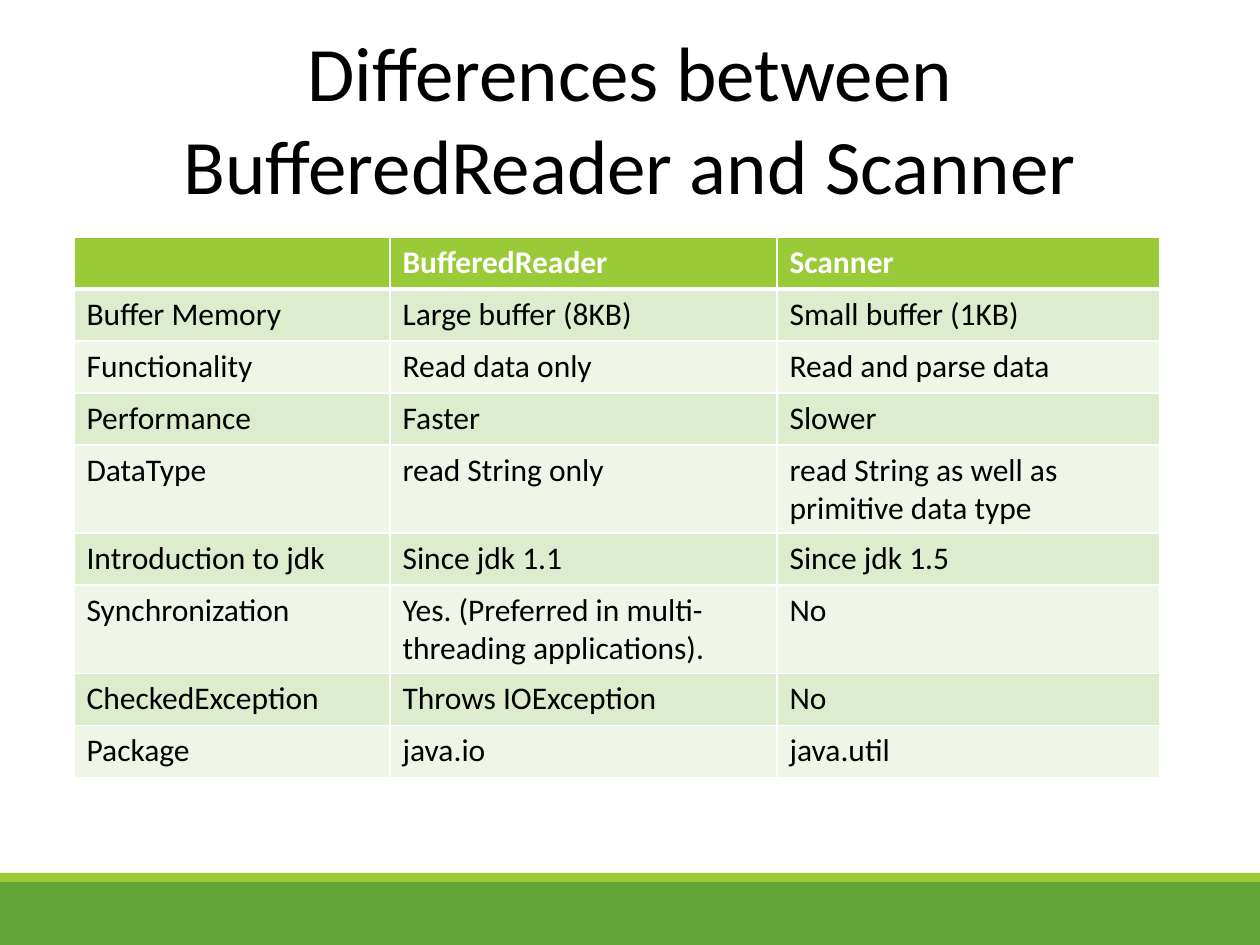
from lxml import etree
from pptx import Presentation
from pptx.dml.color import RGBColor
from pptx.enum.shapes import MSO_SHAPE
from pptx.enum.text import MSO_ANCHOR, PP_ALIGN
from pptx.oxml.ns import qn
from pptx.util import Emu, Pt

PIXEL = 914400 // 126
FONT = "Calibri"
BLACK = RGBColor(0x00, 0x00, 0x00)
WHITE = RGBColor(0xFF, 0xFF, 0xFF)
GREEN = RGBColor(0x63, 0xA5, 0x37)
LIME = RGBColor(0x99, 0xCB, 0x38)
LIGHT = RGBColor(0xDE, 0xEC, 0xCE)
PALE = RGBColor(0xEF, 0xF6, 0xE8)
RECTANGLE = MSO_SHAPE.RECTANGLE
MIDDLE = MSO_ANCHOR.MIDDLE
CENTER = PP_ALIGN.CENTER

COLUMN_WIDTHS = [316, 387, 383]
ROW_HEIGHT = 52
ROWS = [
    ["", "BufferedReader", "Scanner"],
    ["Buffer Memory", "Large buffer (8KB)", "Small buffer (1KB)"],
    ["Functionality", "Read data only", "Read and parse data"],
    ["Performance", "Faster", "Slower"],
    ["DataType", "read String only", "read String as well as primitive data type"],
    ["Introduction to jdk", "Since jdk 1.1", "Since jdk 1.5"],
    ["Synchronization", "Yes. (Preferred in multi-threading applications).", "No"],
    ["CheckedException", "Throws IOException", "No"],
    ["Package", "java.io", "java.util"],
]


def set_font(para, size, color, bold=False):
    """Format every run of a paragraph."""
    for run in para.runs:
        run.font.name = FONT
        run.font.size = Pt(size)
        run.font.bold = bold
        run.font.color.rgb = color


def add_borders(cell, widths):
    """Give a cell white borders, with widths in points by side."""
    properties = cell._tc.get_or_add_tcPr()
    for index, (side, width) in enumerate(widths.items()):
        line = etree.Element(qn(f"a:ln{side}"), w=str(Pt(width)))
        fill = etree.SubElement(line, qn("a:solidFill"))
        etree.SubElement(fill, qn("a:srgbClr"), val=str(WHITE))
        properties.insert(index, line)


deck = Presentation()
deck.slide_width = Emu(1260 * PIXEL)
deck.slide_height = Emu(945 * PIXEL)
page = deck.slides.add_slide(deck.slide_layouts[6])

for top, height, color in [(882, 63, GREEN), (873, 9, LIME)]:
    band = page.shapes.add_shape(RECTANGLE, 0, top * PIXEL, deck.slide_width, height * PIXEL)
    band.shadow.inherit = False
    band.fill.solid()
    band.fill.fore_color.rgb = color
    band.line.fill.background()

title = page.shapes.add_textbox(63 * PIXEL, 38 * PIXEL, 1134 * PIXEL, 158 * PIXEL)
title.text_frame.word_wrap = True
title.text_frame.vertical_anchor = MIDDLE
title.text_frame.text = "Differences between BufferedReader and Scanner"
heading = title.text_frame.paragraphs[0]
heading.alignment = CENTER
set_font(heading, 44, BLACK)

table = page.shapes.add_table(
    len(ROWS), len(COLUMN_WIDTHS), 74 * PIXEL, 237 * PIXEL,
    sum(COLUMN_WIDTHS) * PIXEL, len(ROWS) * ROW_HEIGHT * PIXEL,
).table
for column, width in zip(table.columns, COLUMN_WIDTHS):
    column.width = Emu(width * PIXEL)

for row_index, texts in enumerate(ROWS):
    is_header = row_index == 0
    if is_header:
        background = LIME
    else:
        background = LIGHT if row_index % 2 else PALE
    borders = {
        "L": 1,
        "R": 1,
        "T": 3 if row_index == 1 else 1,
        "B": 3 if is_header else 1,
    }
    for column_index, text in enumerate(texts):
        cell = table.cell(row_index, column_index)
        cell.fill.solid()
        cell.fill.fore_color.rgb = background
        add_borders(cell, borders)
        if text:
            cell.text_frame.text = text
            set_font(cell.text_frame.paragraphs[0], 18, WHITE if is_header else BLACK, is_header)

deck.save("out.pptx")
